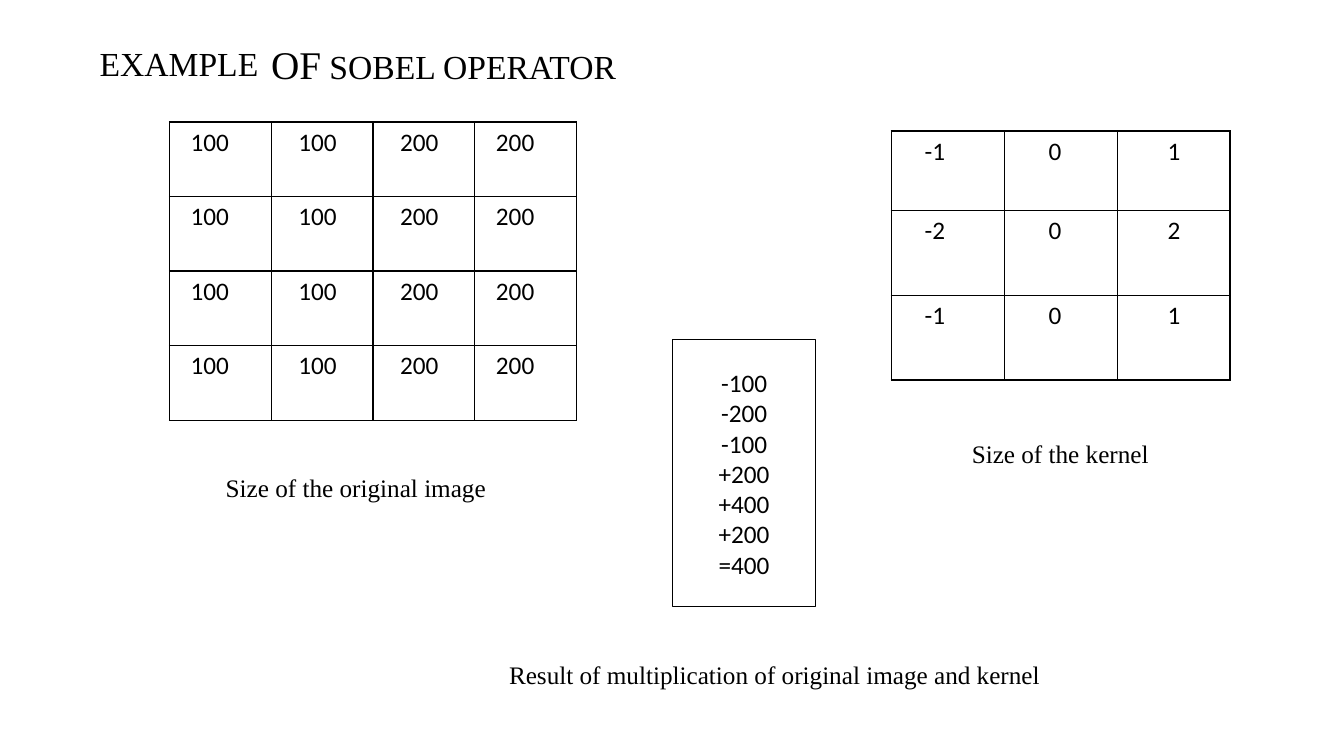
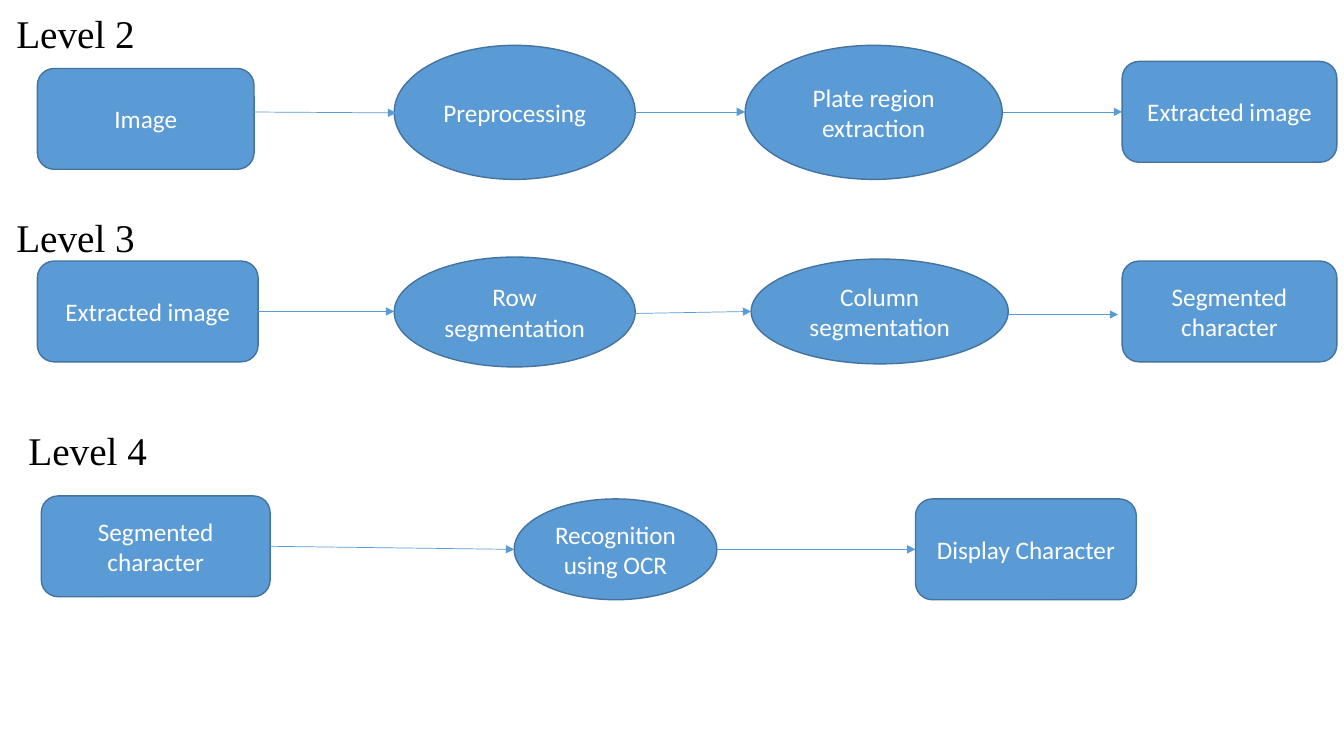
from dataclasses import dataclass

from lxml import etree
from pptx import Presentation
from pptx.dml.color import RGBColor
from pptx.enum.shapes import MSO_CONNECTOR, MSO_SHAPE
from pptx.enum.text import MSO_ANCHOR, MSO_AUTO_SIZE, PP_ALIGN
from pptx.oxml import parse_xml
from pptx.oxml.ns import nsdecls, qn
from pptx.util import Inches, Pt


@dataclass(frozen=True)
class Theme:
    black: RGBColor = RGBColor(0x00, 0x00, 0x00)
    white: RGBColor = RGBColor(0xFF, 0xFF, 0xFF)
    blue: RGBColor = RGBColor(0x5B, 0x9B, 0xD5)
    outline: RGBColor = RGBColor(0x43, 0x73, 0x9E)
    body_font: str = "Calibri"
    label_font: str = "Times New Roman"
    body_size: Pt = Pt(18)
    title_size: Pt = Pt(24)
    level_size: Pt = Pt(28)
    line: Pt = Pt(1)
    arrow: Pt = Pt(0.5)


theme = Theme()


def add_label(slide, box, text, size, align=PP_ALIGN.LEFT, wrap=False):
    label = slide.shapes.add_textbox(*map(Inches, box))
    frame = label.text_frame
    frame.word_wrap = wrap
    frame.auto_size = MSO_AUTO_SIZE.SHAPE_TO_FIT_TEXT
    paragraph = frame.paragraphs[0]
    paragraph.text = text
    paragraph.alignment = align
    paragraph.font.name = theme.label_font
    paragraph.font.size = size
    paragraph.font.color.rgb = theme.black
    return paragraph


def add_box(slide, kind, box, text, fill, line, color):
    shape = slide.shapes.add_shape(kind, *map(Inches, box))
    shape.shadow.inherit = False
    shape.fill.solid()
    shape.fill.fore_color.rgb = fill
    shape.line.color.rgb = line
    shape.line.width = theme.line
    frame = shape.text_frame
    frame.word_wrap = True
    frame.vertical_anchor = MSO_ANCHOR.MIDDLE
    frame.text = text
    for paragraph in frame.paragraphs:
        paragraph.alignment = PP_ALIGN.CENTER
        paragraph.font.name = theme.body_font
        paragraph.font.size = theme.body_size
        paragraph.font.color.rgb = color
    return shape


presentation = Presentation()
presentation.slide_width = Inches(13.33)
presentation.slide_height = Inches(7.5)
blank = presentation.slide_layouts[6]

# Slide 1: Sobel operator
slide = presentation.slides.add_slide(blank)

# Matrices: position, column width, row heights, left margin per column, values
matrices = [
    ((1.68, 1.21), 1.01, [0.74] * 4, [0.21, 0.27, 0.27, 0.21],
     [[100, 100, 200, 200]] * 4),
    ((8.84, 1.3), 1.12, [0.79, 0.84, 0.84], [0.33, 0.44, 0.5],
     [[-1, 0, 1], [-2, 0, 2], [-1, 0, 1]]),
]
for (left, top), column_width, row_heights, margins, values in matrices:
    table = slide.shapes.add_table(
        len(values), len(margins), Inches(left), Inches(top),
        Inches(column_width * len(margins)), Inches(sum(row_heights))).table
    table.first_row = False
    table.horz_banding = False
    for column in table.columns:
        column.width = Inches(column_width)
    for row, height, numbers in zip(table.rows, row_heights, values):
        row.height = Inches(height)
        for cell, margin, number in zip(row.cells, margins, numbers):
            cell.margin_left = Inches(margin)
            cell.text = str(number)
            paragraph = cell.text_frame.paragraphs[0]
            paragraph.font.name = theme.body_font
            paragraph.font.size = theme.body_size
            paragraph.font.color.rgb = theme.black
            properties = cell._tc.get_or_add_tcPr()
            for side in ("lnL", "lnR", "lnT", "lnB"):
                properties.append(parse_xml(
                    f'<a:{side} {nsdecls("a")} w="{theme.line}"><a:solidFill>'
                    f'<a:srgbClr val="{theme.black}"/></a:solidFill></a:{side}>'))
            cell.fill.background()

# Sum of products
products = ["-100", "-200", "-100", "+200", "+400", "+200", "=400"]
add_box(slide, MSO_SHAPE.RECTANGLE, (6.67, 3.37, 1.42, 2.65),
        "\n".join(products), theme.white, theme.black, theme.black)

# Title and captions
add_label(slide, (0.89, 0.38, 5.36, 0.5), "EXAMPLE", theme.title_size, wrap=True)
title = add_label(slide, (2.59, 0.35, 3.66, 0.57), "OF", theme.level_size)
title_end = title.add_run()
title_end.text = " SOBEL OPERATOR"
title_end.font.size = theme.title_size
captions = [
    ((2.14, 4.64, 2.81, 0.4), "Size of the original image"),
    ((9.54, 4.3, 1.96, 0.4), "Size of the kernel"),
    ((4.95, 6.49, 5.49, 0.4),
     "Result of multiplication of original image and kernel"),
]
for box, text in captions:
    add_label(slide, box, text, theme.body_size)

# Slide 2: data flow levels
slide = presentation.slides.add_slide(blank)
ROUNDED, OVAL = MSO_SHAPE.ROUNDED_RECTANGLE, MSO_SHAPE.OVAL

# Levels: label, label position, steps, arrows between neighbouring steps
# An arrow end of None is joined to the side of its rectangle
levels = [
    ("Level 2", (0.06, 0.04),
     [(ROUNDED, (0.37, 0.68, 2.15, 1), "Image"),
      (OVAL, (3.91, 0.45, 2.39, 1.33), "Preprocessing"),
      (OVAL, (7.39, 0.45, 2.55, 1.33), "Plate region extraction"),
      (ROUNDED, (11.13, 0.61, 2.13, 1), "Extracted image")],
     [((2.28, 1.11), (3.93, 1.12)), ((6.29, 1.11), (7.39, 1.11)),
      ((9.95, 1.11), None)]),
    ("Level 3", (0.06, 2.07),
     [(ROUNDED, (0.37, 2.59, 2.19, 1), "Extracted image"),
      (OVAL, (3.91, 2.55, 2.39, 1.09), "Row segmentation"),
      (OVAL, (7.45, 2.57, 2.55, 1.04), "Column segmentation"),
      (ROUNDED, (11.13, 2.59, 2.13, 1), "Segmented character")],
     [(None, (3.91, 3.09)), ((6.29, 3.11), (7.45, 3.09)),
      ((10, 3.12), (11.09, 3.12))]),
    ("Level 4", (0.18, 4.18),
     [(ROUNDED, (0.41, 4.92, 2.27, 1), "Segmented character"),
      (OVAL, (5.1, 4.95, 2.01, 1), "Recognition using OCR"),
      (ROUNDED, (9.08, 4.95, 2.19, 1), "Display Character")],
     [(None, (5.1, 5.45)), ((7.11, 5.45), None)]),
]
for label, position, steps, arrows in levels:
    shapes = [add_box(slide, kind, box, text, theme.blue, theme.outline, theme.white)
              for kind, box, text in steps]
    for source, target, (begin, end) in zip(shapes, shapes[1:], arrows):
        connector = slide.shapes.add_connector(
            MSO_CONNECTOR.STRAIGHT,
            *map(Inches, begin or end), *map(Inches, end or begin))
        if begin is None:
            connector.begin_connect(source, 3)
        if end is None:
            connector.end_connect(target, 1)
        connector.line.color.rgb = theme.blue
        connector.line.width = theme.arrow
        properties = connector._element.spPr
        etree.SubElement(properties.find(qn("a:ln")), qn("a:tailEnd"), type="triangle")
        etree.SubElement(properties, qn("a:effectLst"))
    add_label(slide, (*position, 1.38, 0.57), label, theme.level_size, PP_ALIGN.CENTER)

presentation.save("out.pptx")
